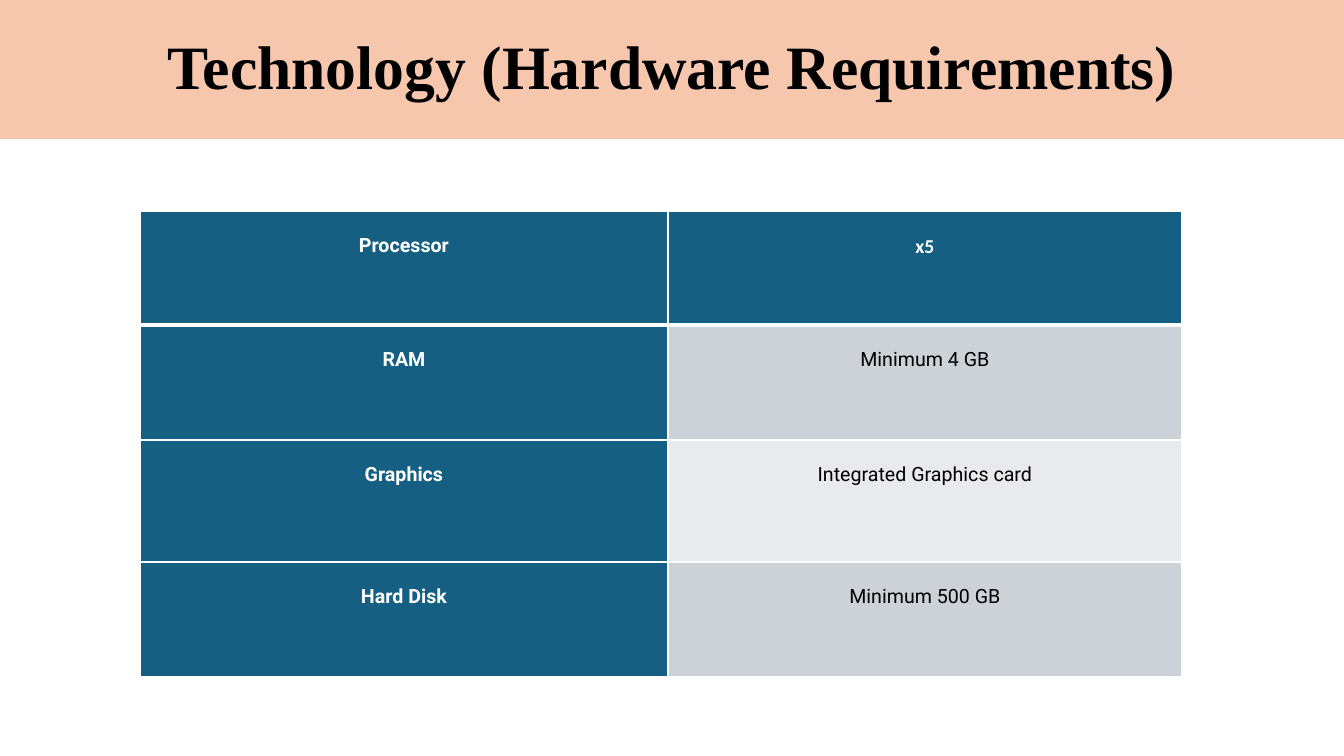
from lxml.etree import SubElement
from pptx import Presentation
from pptx.dml.color import RGBColor
from pptx.enum.text import MSO_ANCHOR, PP_ALIGN
from pptx.oxml.ns import qn
from pptx.util import Pt

PX = 9071.43
HEX = {"peach": "F6C6AD", "blue": "156082", "gray": "CCD2D8",
       "pale": "E8EAED", "white": "FFFFFF", "black": "000000"}


def px(n):
    return round(n * PX)


def write(frame, text, font="Roboto", size=14, color="white", bold=True, space=2.0):
    par = frame.paragraphs[0]
    par.alignment = PP_ALIGN.CENTER
    par.line_spacing = space
    run = par.add_run()
    run.text = text
    run.font.name = font
    run.font.size = Pt(size)
    run.font.bold = bold
    run.font.color.rgb = RGBColor.from_string(HEX[color])


deck = Presentation()
deck.slide_width, deck.slide_height = px(1344), px(756)
slide = deck.slides.add_slide(deck.slide_layouts[5])

title = slide.shapes.title
title.left, title.top, title.width, title.height = 0, 0, px(1344), px(139)
title.fill.solid()
title.fill.fore_color.rgb = RGBColor.from_string(HEX["peach"])
title.text_frame.vertical_anchor = MSO_ANCHOR.MIDDLE
write(title.text_frame, "Technology (Hardware Requirements)",
      font="Times New Roman", size=44, color="black", space=0.9)

needs = [("Processor", "x5", "blue"),
         ("RAM", "Minimum 4 GB", "gray"),
         ("Graphics", "Integrated Graphics card", "pale"),
         ("Hard Disk", "Minimum 500 GB", "gray")]
table = slide.shapes.add_table(4, 2, px(140), px(211), px(1042), px(466)).table
for col, wide in zip(table.columns, (528, 514)):
    col.width = px(wide)
for row, high in zip(table.rows, (114, 115, 122, 115)):
    row.height = px(high)

for r, (name, value, shade) in enumerate(needs):
    for c, text in enumerate((name, value)):
        cell = table.cell(r, c)
        cell.margin_left = cell.margin_right = px(7)
        cell.margin_top = cell.margin_bottom = 0
        plain = r > 0 and c > 0
        write(cell.text_frame, text,
              font="Calibri" if (r, c) == (0, 1) else "Roboto",
              color="black" if plain else "white", bold=not plain)
        props = cell._tc.get_or_add_tcPr()
        for side in "LRTB":
            thick = (r, side) in ((0, "B"), (1, "T"))
            line = SubElement(props, qn("a:ln" + side), w=str(Pt(3 if thick else 1)))
            fill = SubElement(line, qn("a:solidFill"))
            SubElement(fill, qn("a:srgbClr"), val=HEX["white"])
        cell.fill.solid()
        cell.fill.fore_color.rgb = RGBColor.from_string(HEX[shade if c else "blue"])

deck.save("out.pptx")
